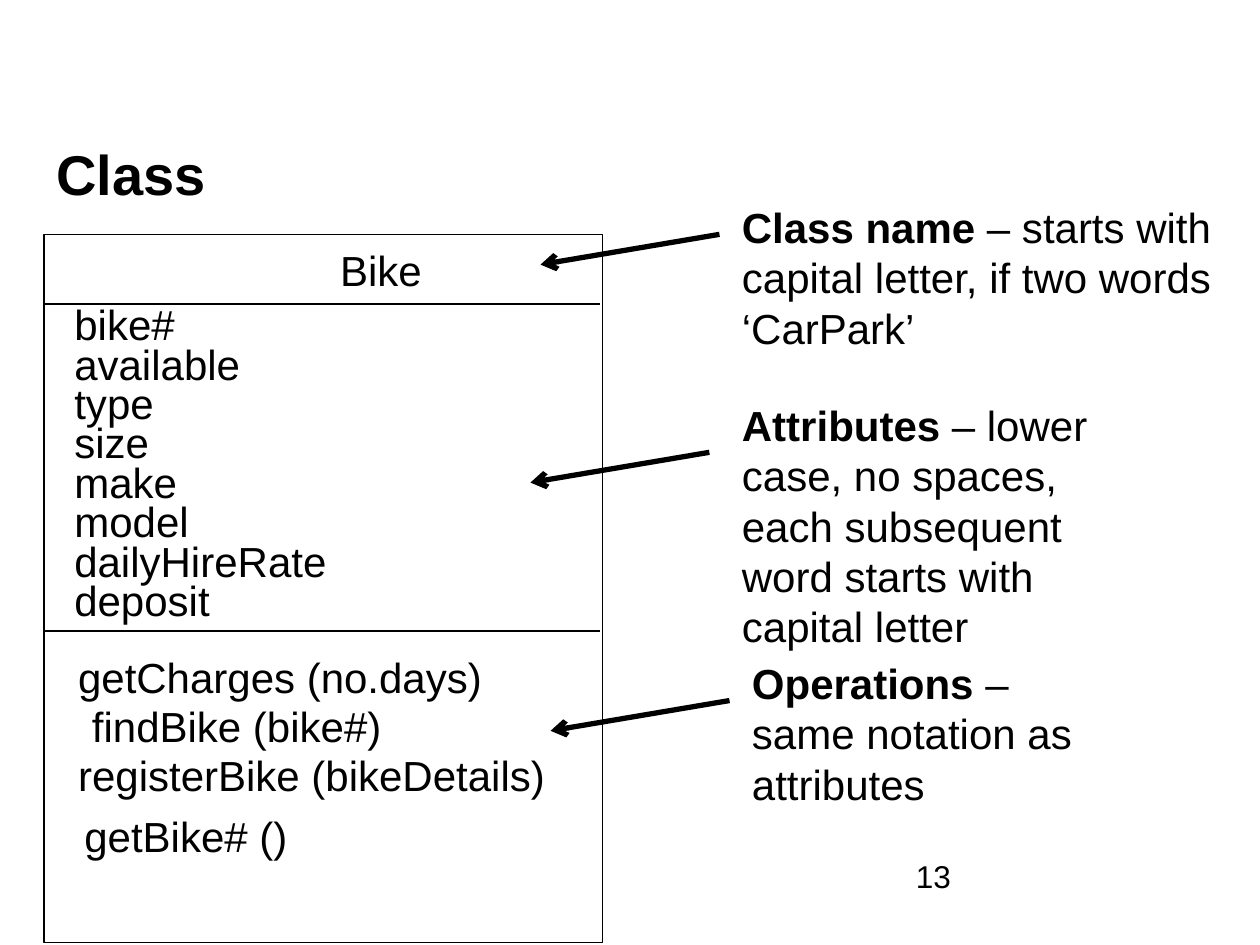
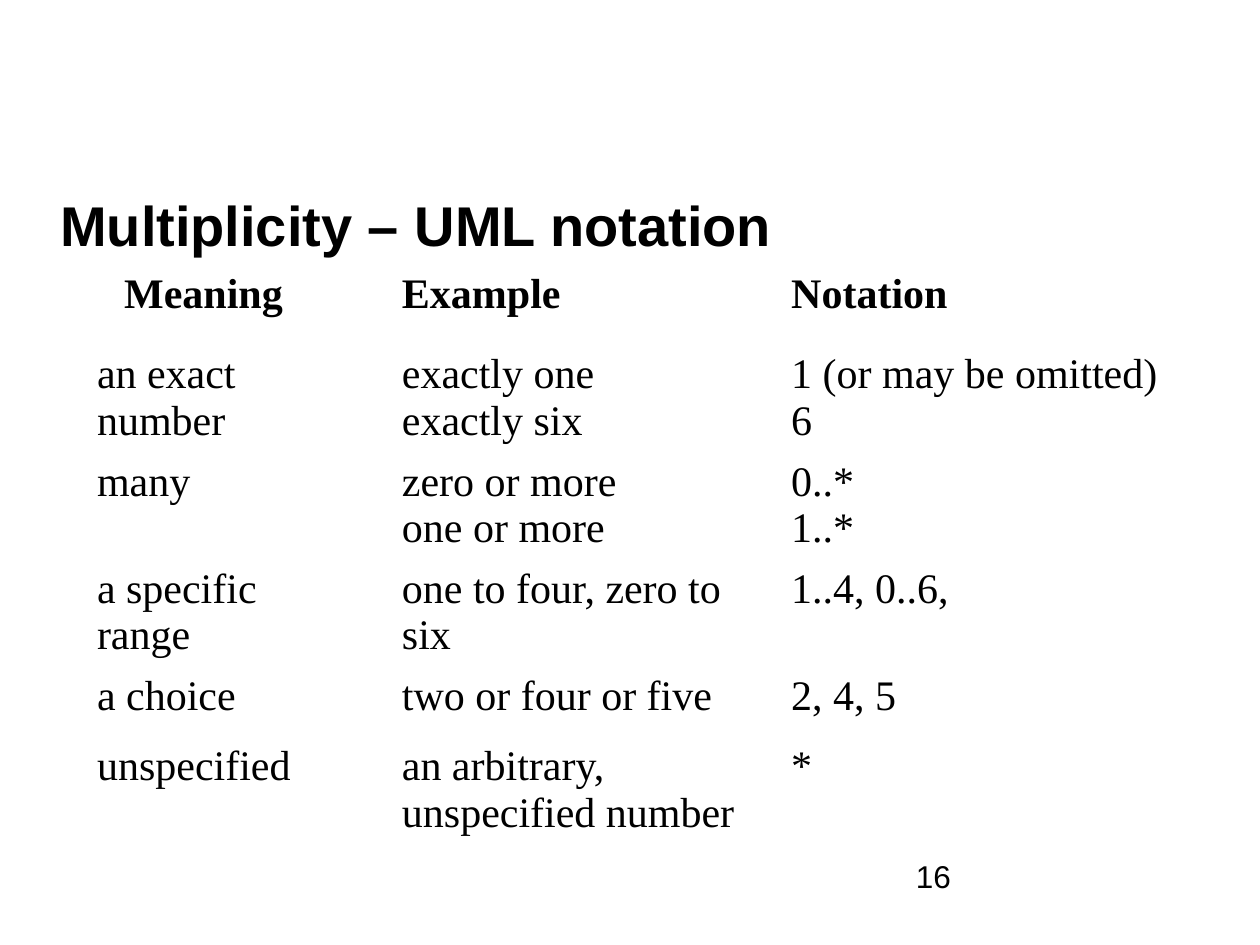
from dataclasses import dataclass

from lxml import etree
from pptx import Presentation
from pptx.dml.color import RGBColor
from pptx.enum.shapes import MSO_CONNECTOR as Connector, MSO_SHAPE as Shape
from pptx.enum.text import MSO_ANCHOR as Anchor, MSO_AUTO_SIZE as AutoSize, PP_ALIGN as Align
from pptx.oxml.ns import qn
from pptx.util import Inches, Pt


@dataclass(frozen=True)
class Theme:
    ink: RGBColor = RGBColor(0, 0, 0)
    sans: str = "Arial"
    serif: str = "Times New Roman"
    title: int = 32
    body: int = 24
    number: int = 18


theme = Theme()


def write(frame, paragraphs, size=theme.body, font=theme.sans, align=Align.LEFT):
    """Fill a text frame; each paragraph is a list of (text, bold) runs."""
    for index, runs in enumerate(paragraphs):
        para = frame.paragraphs[0] if index == 0 else frame.add_paragraph()
        para.alignment = align
        for text, bold in runs:
            span = para.add_run()
            span.text = text
            span.font.color.rgb = theme.ink
            style = {"name": font, "size": Pt(size), "bold": bold}
            for name, value in style.items():
                setattr(span.font, name, value)


def add_text(page, place, runs, size=theme.body, **frame_format):
    box = page.shapes.add_textbox(*map(Inches, place))
    for name, value in {"word_wrap": True, **frame_format}.items():
        setattr(box.text_frame, name, value)
    write(box.text_frame, [runs], size)


deck = Presentation()
deck.slide_width, deck.slide_height = Inches(10), Inches(7.5)

# Shared title and page number
pages = []
for title, left, top, number in [
    ("Class", 0.35, 0.99, "13"),
    ("Multiplicity – UML notation", 0.38, 1.4, "16"),
]:
    page = deck.slides.add_slide(deck.slide_layouts[6])
    add_text(page, (7.17, 6.75, 2.08, 0.5), [(number, False)], theme.number)
    add_text(page, (left, top, 9.24, 0.76), [(title, True)], theme.title,
             vertical_anchor=Anchor.MIDDLE)
    pages.append(page)
class_page, multiplicity_page = pages

# Class box
class_box = class_page.shapes.add_shape(
    Shape.RECTANGLE, *map(Inches, (0.35, 1.86, 4.43, 5.62)))
class_box.shadow.inherit = False
class_box.fill.background()
class_box.line.color.rgb = theme.ink
class_box.line.width = Pt(0)

# Class name, attributes and operations
attributes = [("bike#", 0.82), ("available", 1.34), ("type", 0.65), ("size", 0.62),
              ("make", 0.84), ("model", 0.93), ("dailyHireRate", 2.03), ("deposit", 1.1)]
members = [
    ("Bike", 2.7, 1.94, 0.67),
    *[(text, 0.59, 2.37 + row * 0.313, width)
      for row, (text, width) in enumerate(attributes)],
    ("getCharges (no.days)", 0.62, 5.17, 3.23),
    ("findBike (bike#)", 0.73, 5.56, 2.32),
    ("registerBike (bikeDetails)", 0.62, 5.95, 3.99),
    ("getBike# ()", 0.67, 6.43, 2.29),
]
label_format = dict.fromkeys(
    ("margin_left", "margin_top", "margin_right", "margin_bottom"), 0)
label_format["auto_size"] = AutoSize.SHAPE_TO_FIT_TEXT
for text, left, top, width in members:
    # The last label is wider than its text, so it must wrap to stay left
    add_text(class_page, (left, top, width, 0.4), [(text, False)],
             word_wrap=text == "getBike# ()", **label_format)

# Notes on the naming rules
for term, rule, place in [
    ("Class name", " – starts with capital letter, if two words ‘CarPark’",
     (5.79, 1.55, 3.94, 1.3)),
    ("Attributes", " – lower case, no spaces, each subsequent word starts with capital letter",
     (5.79, 3.12, 3.47, 1.7)),
    ("Operations", " – same notation as attributes", (5.87, 5.17, 2.84, 1.9)),
]:
    add_text(class_page, place, [(term, True), (rule, False)])

# Compartment dividers, then arrows from the notes
dividers = [(0.35, y, 4.76, y, 1, False) for y in (2.41, 5.01)]
arrows = [(x, y, x - 1.42, y + 0.24, 3, True)
          for x, y in ((5.71, 1.86), (5.63, 3.59), (5.79, 5.56))]
for *ends, weight, pointed in dividers + arrows:
    line = class_page.shapes.add_connector(Connector.STRAIGHT, *map(Inches, ends))
    line.line.color.rgb = theme.ink
    line.line.width = Pt(weight)
    if pointed:
        etree.SubElement(line.line._get_or_add_ln(), qn("a:tailEnd"), type="arrow")
    etree.SubElement(line._element.spPr, qn("a:effectLst"))

# Multiplicity table; the second column is an empty gutter
rows = [
    ("Meaning", "", "Example", "Notation"),
    ("an exact number ", "", "exactly one \nexactly six", "1 (or may be omitted)\n6 "),
    ("many", "", "zero or more \none or more", "0..* \n1..*"),
    ("a specific range ", "", "one to four, zero to six", "1..4, 0..6,"),
    ("a choice", "", "two or four or five", "2, 4, 5"),
    ("unspecified", "", "an arbitrary, unspecified number", "*"),
]
widths = [1.89, 0.53, 3.09, 3.23]
heights = [0.64, 0.84, 0.84, 0.84, 0.56, 0.84]
table = multiplicity_page.shapes.add_table(
    len(rows), len(widths),
    *map(Inches, (0.67, 2.1, sum(widths), sum(heights)))).table
table.first_row = table.horz_banding = False
for column, width in zip(table.columns, widths):
    column.width = Inches(width)
for r, (texts, height) in enumerate(zip(rows, heights)):
    table.rows[r].height = Inches(height)
    for c, text in enumerate(texts):
        cell = table.cell(r, c)
        cell.fill.background()
        cell.margin_bottom = 0
        if text:
            write(cell.text_frame, [[(part, r == 0)] for part in text.split("\n")],
                  font=theme.serif,
                  align=Align.CENTER if text == "Meaning" else Align.LEFT)

deck.save("out.pptx")
